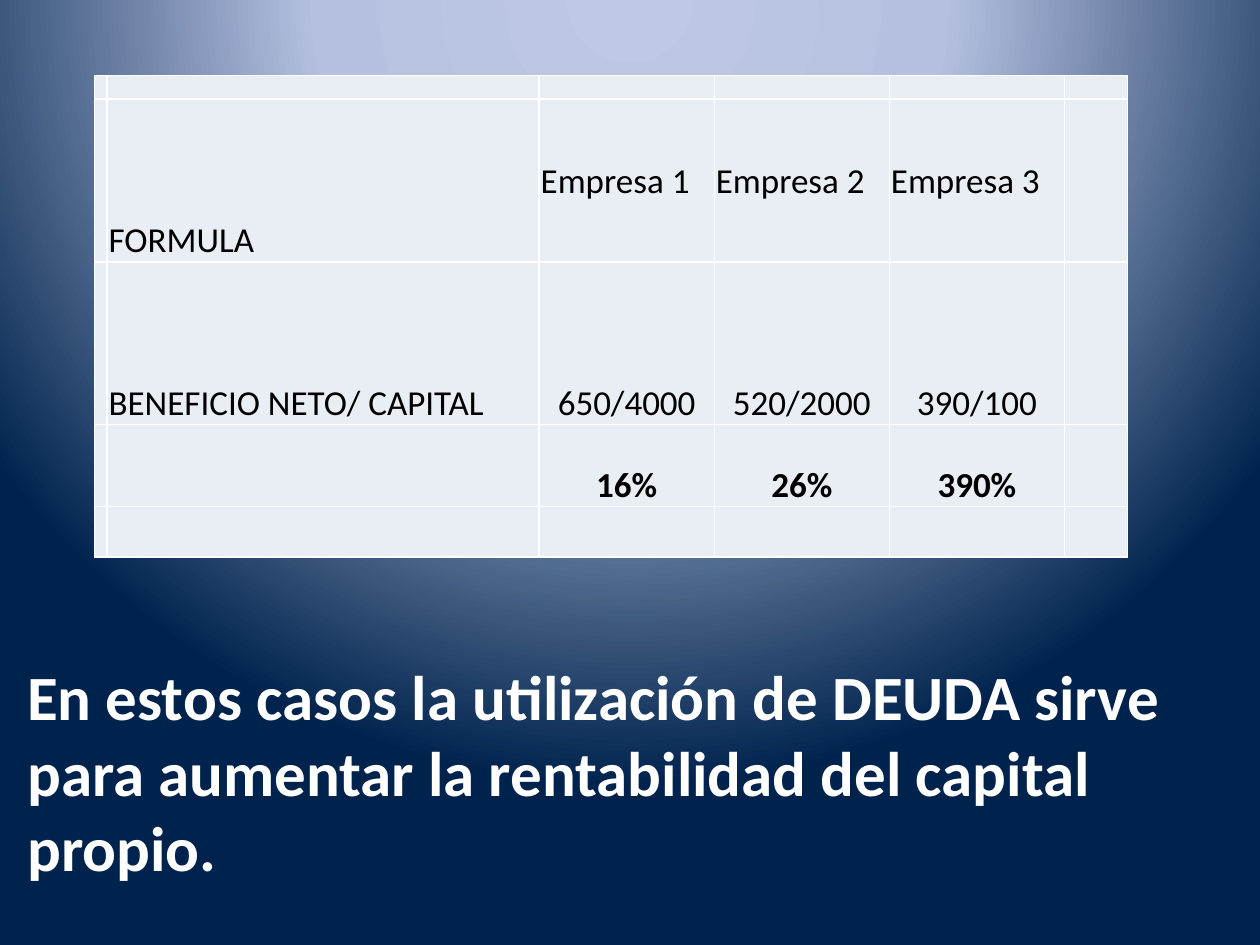
from dataclasses import dataclass

import lxml.etree
import pptx
import pptx.dml.color
import pptx.enum.text
import pptx.oxml
import pptx.oxml.ns
import pptx.util

Cm = pptx.util.Cm
Pt = pptx.util.Pt
RGBColor = pptx.dml.color.RGBColor
Align = pptx.enum.text.PP_ALIGN
Anchor = pptx.enum.text.MSO_ANCHOR
qn = pptx.oxml.ns.qn

WHITE = RGBColor(0xFF, 0xFF, 0xFF)
BLACK = RGBColor(0x00, 0x00, 0x00)
CELL_FILL = RGBColor(0xE9, 0xED, 0xF4)
BACKGROUND_STOPS = {
    0: RGBColor(0xBF, 0xC9, 0xE5),
    40: RGBColor(0xB5, 0xC0, 0xE0),
    100: RGBColor(0x00, 0x23, 0x4D),
}
TABLE_FONT = {"name": "Calibri", "size": Pt(20)}
STATEMENT_FONT = {"name": "Calibri", "size": Pt(36), "bold": True}
CELL_MARGINS = {
    "margin_left": Cm(0.03),
    "margin_right": Cm(0.03),
    "margin_top": Cm(0.03),
    "margin_bottom": Cm(0),
}
COLUMN_WIDTHS = [0.25, 8.71, 3.53, 3.53, 3.53, 1.27]


@dataclass
class TableRow:
    height: float
    label: str = ""
    values: tuple[str, ...] = ("", "", "")
    align: Align = Align.CENTER
    anchor: Anchor = Anchor.BOTTOM
    bold: bool = False


ROWS = [
    TableRow(0.48),
    TableRow(3.28, "FORMULA", ("Empresa 1", "Empresa 2", "Empresa 3"),
             Align.LEFT, Anchor.MIDDLE),
    TableRow(3.28, "BENEFICIO NETO/ CAPITAL", ("650/4000", "520/2000", "390/100")),
    TableRow(1.65, values=("16%", "26%", "390%"), bold=True),
    TableRow(1.02),
]


def apply_format(target: object, values: dict) -> None:
    for name, value in values.items():
        setattr(target, name, value)


def paint_background(slide: pptx.slide.Slide) -> None:
    slide.background.fill.gradient()
    gradient = slide.element.find(".//" + qn("a:gradFill"))
    stops = "".join(
        f'<a:gs pos="{position * 1000}"><a:srgbClr val="{color}"/></a:gs>'
        for position, color in BACKGROUND_STOPS.items()
    )
    radial = pptx.oxml.parse_xml(
        f'<a:gradFill {pptx.oxml.ns.nsdecls("a")} rotWithShape="1">'
        f'<a:gsLst>{stops}</a:gsLst><a:path path="circle">'
        '<a:fillToRect l="50000" t="-80000" r="50000" b="180000"/>'
        '</a:path></a:gradFill>'
    )
    gradient.getparent().replace(gradient, radial)


def style_cell(cell: pptx.table._Cell) -> None:
    apply_format(cell, CELL_MARGINS)
    properties = cell._tc.get_or_add_tcPr()
    for side in ("lnL", "lnR", "lnT", "lnB"):
        line = lxml.etree.SubElement(properties, qn(f"a:{side}"), w=str(Pt(1)))
        fill = lxml.etree.SubElement(line, qn("a:solidFill"))
        lxml.etree.SubElement(fill, qn("a:srgbClr"), val=str(WHITE))
    cell.fill.solid()
    cell.fill.fore_color.rgb = CELL_FILL


def write_cell(cell: pptx.table._Cell, text: str, align: Align,
               anchor: Anchor, bold: bool) -> None:
    style_cell(cell)
    para = cell.text_frame.paragraphs[0]
    if not text:
        # Small end mark keeps the empty rows low
        lxml.etree.SubElement(para._p, qn("a:endParaRPr"), sz="800")
        return
    cell.vertical_anchor = anchor
    para.alignment = align
    span = para.add_run()
    span.text = text
    apply_format(span.font, TABLE_FONT | {"bold": bold})
    span.font.color.rgb = BLACK


def add_ratio_table(slide: pptx.slide.Slide) -> None:
    frame = slide.shapes.add_table(
        len(ROWS), len(COLUMN_WIDTHS), Cm(1.91), Cm(1.52),
        Cm(sum(COLUMN_WIDTHS)), Cm(sum(row.height for row in ROWS)))
    table = frame.table
    table.first_row = table.horz_banding = False
    for column, width in zip(table.columns, COLUMN_WIDTHS):
        column.width = Cm(width)
    for row_index, row in enumerate(ROWS):
        table.rows[row_index].height = Cm(row.height)
        for column_index, text in enumerate(("", row.label, *row.values, "")):
            is_label = column_index == 1
            write_cell(table.cell(row_index, column_index), text,
                       Align.LEFT if is_label else row.align,
                       Anchor.BOTTOM if is_label else row.anchor, row.bold)


def add_statement(slide: pptx.slide.Slide, text: str) -> None:
    box = slide.shapes.add_textbox(Cm(0.3), Cm(13.13), Cm(24.41), Cm(4.88))
    box.text_frame.word_wrap = True
    box.text_frame.auto_size = pptx.enum.text.MSO_AUTO_SIZE.SHAPE_TO_FIT_TEXT
    span = box.text_frame.paragraphs[0].add_run()
    span.text = text
    apply_format(span.font, STATEMENT_FONT)
    span.font.color.rgb = WHITE


# Deck and blank page
deck = pptx.Presentation()
deck.slide_width, deck.slide_height = Cm(25.4), Cm(19.05)
page = deck.slides.add_slide(deck.slide_layouts[6])

# Background, table and conclusion
paint_background(page)
add_ratio_table(page)
add_statement(page, "En estos casos la utilización de DEUDA sirve para aumentar "
                    "la rentabilidad del capital propio.")

deck.save("out.pptx")
